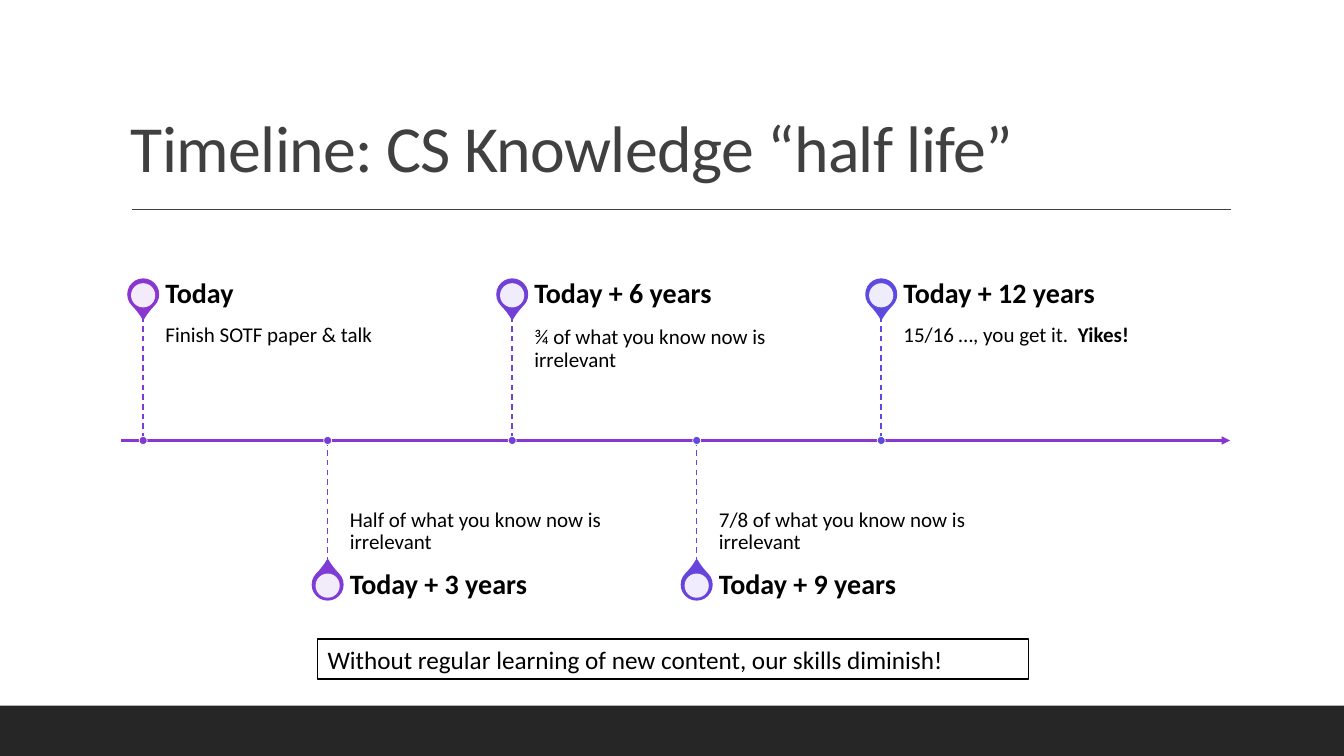
from dataclasses import dataclass

from lxml import etree
from pptx import Presentation
from pptx import util as u
from pptx.dml.color import RGBColor
from pptx.enum import dml, shapes, text
from pptx.oxml import ns

PX = 9144
FONT = "Calibri"
COLORS = {
    "white": "FFFFFF",
    "black": "000000",
    "title": "404040",
    "footer": "262626",
    "axis": "8937D0",
}
AXIS_Y = 437
FIRST_X, STEP_X = 142, 183
TEXT_GAP, TEXT_WIDTH = 22, 305
PIN, HOLE, DOT = 30, 24, 8


@dataclass(frozen=True)
class Span:
    words: str
    bold: bool = False


@dataclass(frozen=True)
class Milestone:
    heading: str
    detail: tuple[Span, ...]
    pin_color: str
    stem_color: str


@dataclass(frozen=True)
class Side:
    stem_end: int
    pin_top: int
    hole_top: int
    rotation: int
    heading_top: int
    detail_top: int
    anchor: text.MSO_ANCHOR
    insets: tuple[int, int, int, int]


ABOVE = Side(314, 277, 281, 135, 271, 314, text.MSO_ANCHOR.TOP, (0, 10, 10, 16))
BELOW = Side(559, 565, 569, 315, 559, 437, text.MSO_ANCHOR.BOTTOM, (0, 16, 0, 10))

MILESTONES = [
    Milestone("Today", (Span("Finish SOTF paper & talk"),), "8937D0", "803BD4"),
    Milestone("Today + 3 years", (Span("Half of what you know now is irrelevant"),),
              "7E3BD5", "773ED7"),
    Milestone("Today + 6 years", (Span("¾ of what you know now is irrelevant"),),
              "7240D9", "6E42DB"),
    Milestone("Today + 9 years", (Span("7/8 of what you know now is irrelevant"),),
              "6745DD", "6546DE"),
    Milestone("Today + 12 years", (Span("15/16 …, you get it.  "), Span("Yikes!", True)),
              "5C4AE1", "5C4AE1"),
]


def px(length: int) -> u.Emu:
    return u.Emu(length * PX)


def rgb(color: str) -> RGBColor:
    return RGBColor.from_string(color)


def add_shape(page, kind, left: int, top: int, width: int, height: int,
              fill: str, line: str | None = None, weight: float = 1):
    shape = page.shapes.add_shape(kind, px(left), px(top), px(width), px(height))
    shape.shadow.inherit = False
    shape.fill.solid()
    shape.fill.fore_color.rgb = rgb(fill)
    if line:
        shape.line.color.rgb = rgb(line)
        shape.line.width = u.Pt(weight)
    else:
        shape.line.fill.background()
    return shape


def add_line(page, start: tuple[int, int], end: tuple[int, int], color: str, weight: float):
    line = page.shapes.add_connector(
        shapes.MSO_CONNECTOR.STRAIGHT, *(px(value) for value in start + end))
    line.line.color.rgb = rgb(color)
    line.line.width = u.Pt(weight)
    etree.SubElement(line._element.spPr, ns.qn("a:effectLst"))
    return line


def write(box, spans: tuple[Span, ...], size: int, color: str = COLORS["black"],
          anchor: text.MSO_ANCHOR = text.MSO_ANCHOR.TOP,
          insets: tuple[int, int, int, int] = (10, 5, 10, 5),
          line_spacing: float = 0.9):
    frame = box.text_frame
    frame.word_wrap = True
    frame.vertical_anchor = anchor
    (frame.margin_left, frame.margin_top,
     frame.margin_right, frame.margin_bottom) = map(px, insets)
    para = frame.paragraphs[0]
    para.alignment = text.PP_ALIGN.LEFT
    para.line_spacing = line_spacing
    for span in spans:
        run = para.add_run()
        run.text = span.words
        run.font.name = FONT
        run.font.size = u.Pt(size)
        run.font.bold = span.bold
        run.font.color.rgb = rgb(color)
    return para


def add_box(page, left: int, top: int, width: int, height: int):
    return page.shapes.add_textbox(px(left), px(top), px(width), px(height))


def draw_milestone(page, milestone: Milestone, x: int, side: Side) -> None:
    pin = add_shape(page, shapes.MSO_SHAPE.TEAR, x - PIN // 2, side.pin_top, PIN, PIN,
                    milestone.pin_color, milestone.pin_color, 1.25)
    pin.adjustments[0] = 1.15
    pin.rotation = side.rotation
    hole = add_shape(page, shapes.MSO_SHAPE.OVAL, x - HOLE // 2, side.hole_top, HOLE, HOLE,
                     COLORS["white"])
    tint = hole._element.spPr.find(".//" + ns.qn("a:srgbClr"))
    etree.SubElement(tint, ns.qn("a:alpha"), val="90000")

    detail = add_box(page, x + TEXT_GAP, side.detail_top, TEXT_WIDTH, 123)
    write(detail, milestone.detail, 15, anchor=side.anchor, insets=side.insets)
    heading = add_box(page, x + TEXT_GAP, side.heading_top, TEXT_WIDTH, 43)
    write(heading, (Span(milestone.heading, True),), 20,
          anchor=text.MSO_ANCHOR.MIDDLE, insets=(0, 0, 14, 0))

    top, bottom = sorted((side.stem_end, AXIS_Y))
    stem = add_line(page, (x, top), (x, bottom), milestone.stem_color, 1)
    stem.line.dash_style = dml.MSO_LINE.DASH
    add_shape(page, shapes.MSO_SHAPE.OVAL, x - DOT // 2, AXIS_Y - DOT // 2, DOT, DOT,
              milestone.stem_color, COLORS["white"], 0.5)


def main() -> None:
    deck = Presentation()
    deck.slide_width, deck.slide_height = px(1333), px(750)
    page = deck.slides.add_slide(deck.slide_layouts[6])

    title = write(add_box(page, 120, 31, 1100, 159), (Span("Timeline: CS Knowledge “half life”"),),
                  47, COLORS["title"], text.MSO_ANCHOR.BOTTOM)
    title.runs[0].font._element.set("spc", "-50")
    add_line(page, (131, 208), (1221, 208), COLORS["title"], 1)
    add_shape(page, shapes.MSO_SHAPE.RECTANGLE, 0, 700, 1333, 50, COLORS["footer"])

    axis = add_line(page, (120, AXIS_Y), (1220, AXIS_Y), COLORS["axis"], 1.5)
    etree.SubElement(axis.line._get_or_add_ln(), ns.qn("a:tailEnd"), type="triangle")
    for index, milestone in enumerate(MILESTONES):
        draw_milestone(page, milestone, FIRST_X + index * STEP_X, BELOW if index % 2 else ABOVE)

    lesson = add_shape(page, shapes.MSO_SHAPE.RECTANGLE, 315, 634, 705, 40,
                       COLORS["white"], COLORS["black"], 1.25)
    write(lesson, (Span("Without regular learning of new content, our skills diminish!"),), 18,
          line_spacing=1.0)
    deck.save("out.pptx")


if __name__ == "__main__":
    main()
